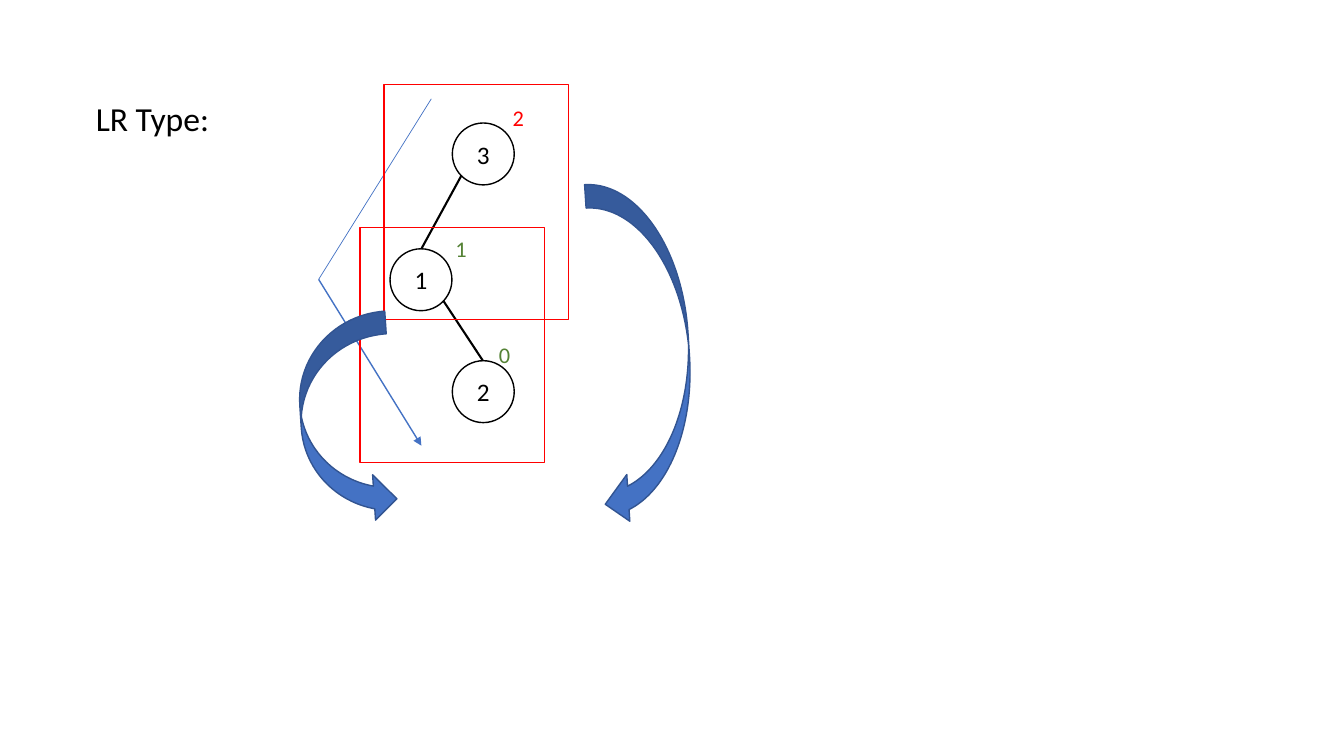
import pptx
import pptx.dml.color
import pptx.enum.shapes
import pptx.enum.text
import pptx.oxml.ns
import pptx.util
from lxml import etree

Cm = pptx.util.Cm
Pt = pptx.util.Pt
SHAPE = pptx.enum.shapes.MSO_SHAPE
ALIGN = pptx.enum.text.PP_ALIGN
ANCHOR = pptx.enum.text.MSO_ANCHOR

BLACK, WHITE, RED, GREEN = "000000", "FFFFFF", "FF0000", "548235"
BLUE, DARK_BLUE = "4472C4", "325491"


def paint(target, colour):
    """Give a font, fill or line a solid colour from a hex string."""
    fill = target if hasattr(target, "solid") else target.fill
    fill.solid()
    fill.fore_color.rgb = pptx.dml.color.RGBColor.from_string(colour)


def write(shape, text, size, colour, align, anchor):
    """Put one formatted, unwrapped line of text in a shape."""
    frame = shape.text_frame
    frame.text = text
    frame.word_wrap = False
    frame.auto_size = pptx.enum.text.MSO_AUTO_SIZE.NONE
    frame.vertical_anchor = anchor
    paragraph = frame.paragraphs[0]
    paragraph.alignment = align
    font = paragraph.runs[0].font
    font.name = "Calibri"
    font.size = Pt(size)
    paint(font, colour)


deck = pptx.Presentation()
deck.slide_width, deck.slide_height = Cm(33.87), Cm(19.05)
page = deck.slides.add_slide(deck.slide_layouts[5])

title = page.shapes.title
title.left, title.top, title.width, title.height = Cm(2.16), Cm(2.34), Cm(3.4), Cm(1.27)
write(title, "LR Type:", 24, BLACK, ALIGN.LEFT, ANCHOR.TOP)

# Tree nodes
diameter = Cm(1.56)
for key, left, top in [("3", 11.4, 3.1), ("1", 9.83, 6.27), ("2", 11.4, 9.09)]:
    node = page.shapes.add_shape(SHAPE.OVAL, Cm(left), Cm(top), diameter, diameter)
    node.shadow.inherit = False
    paint(node.fill, WHITE)
    paint(node.line, BLACK)
    node.line.width = Pt(1)
    write(node, key, 18, BLACK, ALIGN.CENTER, ANCHOR.MIDDLE)

# Balance factors
for factor, left, top, colour in [
    ("2", 12.67, 2.49, RED),
    ("1", 11.23, 5.79, GREEN),
    ("0", 12.32, 8.48, GREEN),
]:
    label = page.shapes.add_textbox(Cm(left), Cm(top), Cm(0.81), Cm(0.94))
    write(label, factor, 16, colour, ALIGN.LEFT, ANCHOR.TOP)

# Tree edges, then the left-right path
for start, end, colour, width, has_head in [
    ((11.63, 4.42), (10.62, 6.27), BLACK, 1.5, False),
    ((11.18, 7.59), (12.17, 9.09), BLACK, 1.5, False),
    ((10.87, 2.49), (8.03, 7.04), BLUE, 0.5, False),
    ((8.03, 7.04), (10.62, 11.23), BLUE, 1, True),
]:
    link = page.shapes.add_connector(
        pptx.enum.shapes.MSO_CONNECTOR.STRAIGHT, *map(Cm, start + end)
    )
    paint(link.line, colour)
    link.line.width = Pt(width)
    if has_head:
        head = etree.SubElement(link.line._ln, pptx.oxml.ns.qn("a:tailEnd"))
        head.set("type", "triangle")
    etree.SubElement(link._element.spPr, pptx.oxml.ns.qn("a:effectLst"))

# Frames around the two rotated subtrees
for left, top in [(9.07, 5.74), (9.68, 2.13)]:
    frame = page.shapes.add_shape(SHAPE.RECTANGLE, Cm(left), Cm(top), Cm(4.65), Cm(5.92))
    frame.shadow.inherit = False
    frame.fill.background()
    paint(frame.line, RED)
    frame.line.width = Pt(1)

# Rotation arrows: left turn, then right turn
for left, top, width, height, mirrored in [
    (6.07, 9.42, 5.31, 2.29, False),
    (11.86, 7.72, 8.66, 2.36, True),
]:
    turn = page.shapes.add_shape(
        SHAPE.CURVED_UP_ARROW, Cm(left), Cm(top), Cm(width), Cm(height)
    )
    turn.shadow.inherit = False
    turn.rotation = 86.3
    if mirrored:
        turn._element.spPr.xfrm.set("flipV", "1")
    paint(turn.fill, BLUE)
    paint(turn.line, DARK_BLUE)
    turn.line.width = Pt(1)

deck.save("out.pptx")
